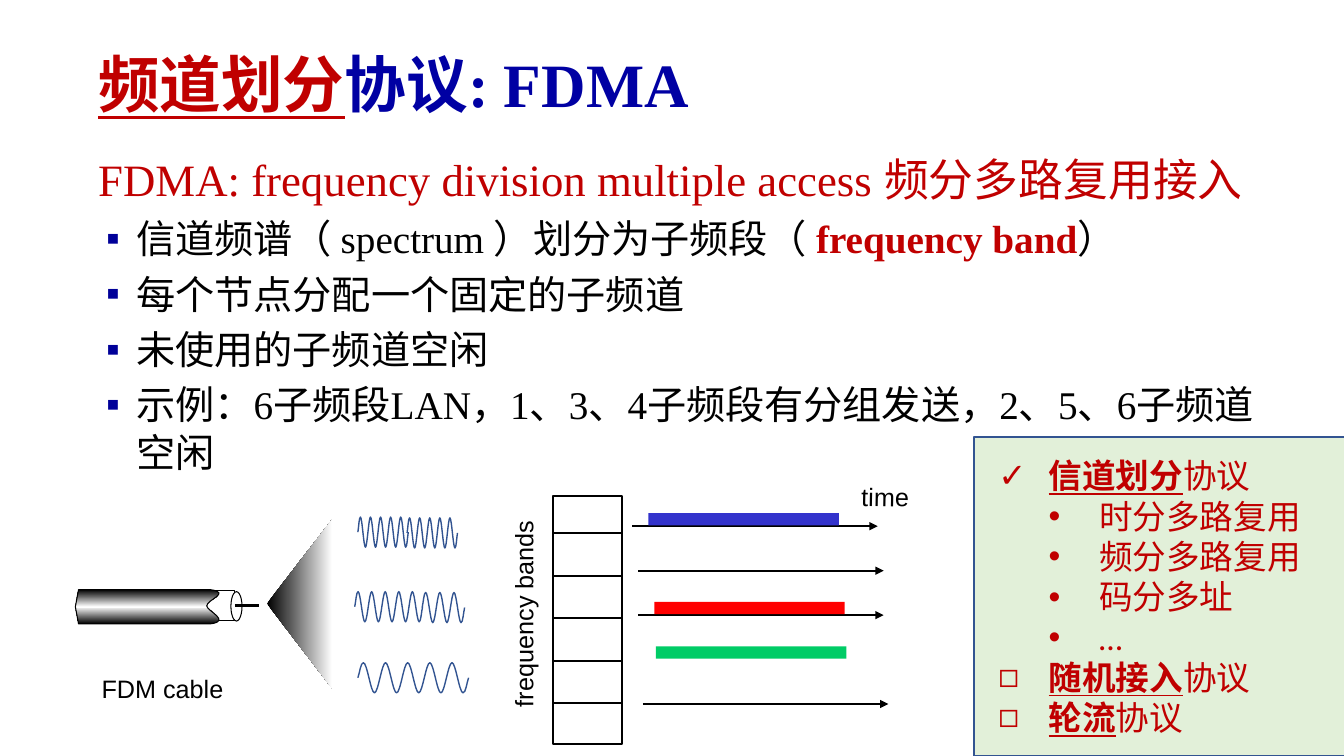
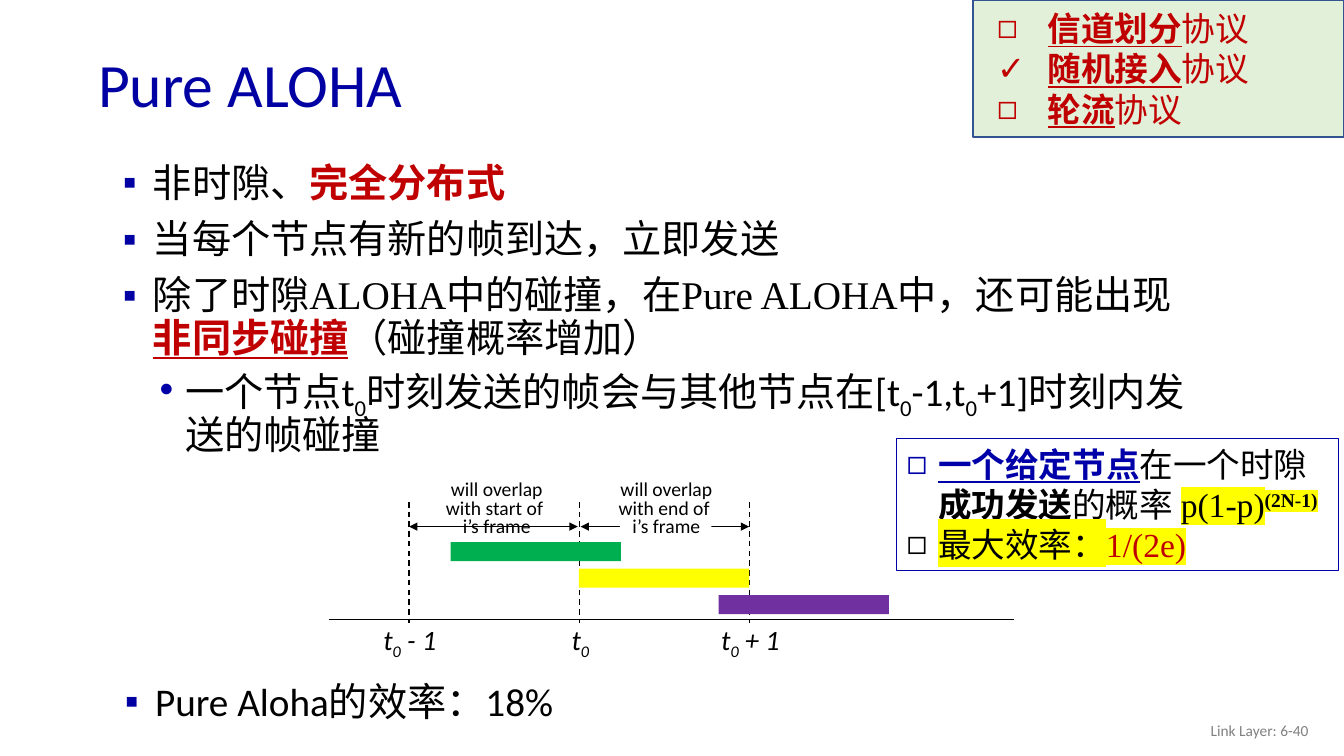
"""Build two slides on channel access protocols: FDMA and Pure ALOHA."""
from copy import deepcopy

from lxml.etree import SubElement
from pptx import Presentation
from pptx.dml.color import RGBColor
from pptx.enum.dml import MSO_LINE
from pptx.enum.shapes import MSO_CONNECTOR, MSO_SHAPE
from pptx.enum.text import MSO_ANCHOR, MSO_AUTO_SIZE, PP_ALIGN
from pptx.oxml.ns import qn
from pptx.util import Cm, Pt

HUES = {
    "black": "000000", "white": "FFFFFF", "red": "C00000", "navy": "0000A3",
    "ink": "0000A8", "dot": "000099", "grey": "808080", "mint": "E2F0D9",
    "steel": "325491", "blue": "3333CC", "bright": "FF0000", "lime": "00CC66",
    "green": "00B050", "yellow": "FFFF00", "purple": "7030A0",
}
ROMAN, SANS, ARIAL = "Times New Roman", "Calibri", "Arial"

STRONG = {"bold": True}
KEY = {"bold": True, "underline": True}
ALERT = {"bold": True, "color": "red"}
SUB = {"base": -25000}
MARK = {"hl": "yellow"}

HEAD = {"size": Pt(44), "name": SANS, "color": "navy"}
LIST = {"size": Pt(28), "name": SANS, "color": "black"}
SERIF = {**LIST, "name": ROMAN}
NOTE = {"size": Pt(24), "name": SANS, "color": "red"}
ODDS = {"size": Pt(24), "name": ROMAN, "color": "black"}
LABEL = {"size": Pt(18), "name": ARIAL, "color": "black"}
TICK = {"size": Pt(20), "name": SANS, "color": "black", "italic": True}
SMALL = {"size": Pt(14), "name": SANS, "color": "black"}
FOOT = {"size": Pt(11), "name": SANS, "color": "grey"}

PLAIN = {"set": {"alignment": PP_ALIGN.LEFT}}
RIGHT = {"set": {"alignment": PP_ALIGN.RIGHT}}
TIGHT = {"set": {"alignment": PP_ALIGN.CENTER, "line_spacing": 0.8}}
TITLE = {"set": {"alignment": PP_ALIGN.LEFT, "line_spacing": 0.9}}
LEAD = {"left": 0.96, "hang": 0.96, "set": {"line_spacing": 0.85}}
ITEM = {"left": 0.96, "hang": 0.76, "sign": "▪", "tint": "dot",
        "set": {"space_before": Pt(6), "line_spacing": 1.0}}
POINT = {"left": 1.12, "hang": 0.76, "sign": "▪", "tint": "navy",
         "set": {"space_before": Pt(10), "line_spacing": 0.9}}
DETAIL = {"left": 1.93, "hang": 0.64, "sign": "•", "tint": "ink",
          "set": {"level": 1, "space_before": Pt(5), "line_spacing": 0.9}}
DONE = {"left": 1.63, "hang": 1.27, "sign": "✓", "set": PLAIN["set"]}
OPEN = {**DONE, "sign": "◻"}
BRANCH = {"left": 2.9, "hang": 1.27, "sign": "•",
          "set": {"level": 1, "alignment": PP_ALIGN.LEFT}}
CHANCE = {"left": 0.79, "hang": 0.79, "sign": "◻", "set": PLAIN["set"]}

TOPICS = [[("信道划分", KEY), "协议"], [("随机接入", KEY), "协议"],
          [("轮流", KEY), "协议"]]
KINDS = ["时分多路复用", "频分多路复用", "码分多址", "…"]

FDMA = {
    "title": [("频道划分", {**KEY, "color": "red", "name": ROMAN}),
              ("协议: FDMA", {"bold": True, "name": ROMAN})],
    "body": [
        (LEAD, [("FDMA: frequency division multiple access 频分多路复用接入",
                 {"size": Pt(32), "color": "red"})]),
        (ITEM, ["信道频谱（ spectrum ）划分为子频段（",
                (" frequency band", ALERT), "）"]),
        (ITEM, ["每个节点分配一个固定的子频道"]),
        (ITEM, ["未使用的子频道空闲"]),
        (ITEM, ["示例：6子频段LAN，1、3、4子频段有分组发送，2、5、6子频道空闲"]),
    ],
    "topics": [(DONE, TOPICS[0]), *[(BRANCH, [kind]) for kind in KINDS],
               (OPEN, TOPICS[1]), (OPEN, TOPICS[2])],
    "labels": [("frequency bands", (10.59, 14.95, 5.21, 1.02), 270),
               ("time", (21.46, 12.01, 1.7, 1.02), 1.1),
               ("FDM cable", (2.31, 16.84, 3.58, 1.02), 0)],
    "lanes": [(15.93, True, "blue"), (16.08, True, None),
              (16.08, True, "bright"), (16.12, False, "lime"),
              (16.2, True, None)],
    "waves": [(9.02, 13.41, 1.27, 5), (10.26, 13.43, 1.27, 5),
              (8.94, 15.29, 1.71, 5), (10.64, 15.31, 1.07, 3),
              (9.02, 17.08, 2.79, 5)],
}
ALOHA = {
    "title": ["Pure ALOHA"],
    "body": [
        (POINT, ["非时隙、", ("完全分布式", ALERT)]),
        (POINT, ["当每个节点有新的帧到达，立即发送"]),
        (POINT, [("除了时隙ALOHA中的碰撞，在Pure ALOHA中，还可能出现",
                  {"name": ROMAN}),
                 ("非同步碰撞", {**KEY, "color": "red", "name": ROMAN}),
                 ("（碰撞概率增加）", {"name": ROMAN})]),
        (DETAIL, ["一个节点t", ("0", SUB), "时刻发送的帧会与其他节点在[t",
                  ("0", SUB), "-1,t", ("0", SUB),
                  "+1]时刻内发送的帧碰撞"]),
    ],
    "topics": [(OPEN, TOPICS[0]), (DONE, TOPICS[1]), (OPEN, TOPICS[2])],
    "odds": [
        (CHANCE, [("一个给定节点", {**KEY, "color": "ink"}), "在一个时隙",
                  ("成功发送", STRONG), "的概率 ", ("p(1-p)", MARK),
                  ("(2N-1)", {**MARK, **STRONG, "base": 30000})]),
        (CHANCE, [("最大效率：", MARK), ("1/(2e)", {**MARK, "color": "red"})]),
    ],
    "rate": [(POINT, ["Pure Aloha的效率：18%"])],
    "foot": [(RIGHT, ["Link Layer: 6-40"])],
    "ticks": [(" - 1", 1.9), ("", 0.99), (" + 1", 2.03)],
    "hints": [("end", 15.32, 2.95), ("start", 10.97, 3.1)],
    "frames": [(11.36, "green"), (14.59, "yellow"), (18.11, "purple")],
}


def hue(name):
    return RGBColor.from_string(HUES[name])


def add(root, tag, **attrs):
    return SubElement(root, qn(tag), attrs)


def place(shape, box):
    for key, val in zip(("left", "top", "width", "height"), box):
        setattr(shape, key, Cm(val))


def ink(run, look):
    props = run._r.get_or_add_rPr()
    run.font.color.rgb = hue(look["color"])
    for key, val in look.items():
        if key == "base":
            props.set("baseline", str(val))
        elif key == "hl":
            mark = add(props, "a:highlight")
            add(mark, "a:srgbClr", val=HUES[val])
            props.insert(1, mark)
        elif key != "color":
            setattr(run.font, key, val)


def write(shape, paras, look, anchor=MSO_ANCHOR.TOP, wrap=True):
    frame = shape.text_frame
    form = {"word_wrap": wrap, "auto_size": MSO_AUTO_SIZE.NONE,
            "vertical_anchor": anchor}
    for key, val in form.items():
        setattr(frame, key, val)
    for num, (style, runs) in enumerate(paras):
        para = frame.add_paragraph() if num else frame.paragraphs[0]
        for key, val in style["set"].items():
            setattr(para, key, val)
        if not num:
            para.space_before = Pt(0)
        props = para._p.get_or_add_pPr()
        props.set("marL", str(Cm(style.get("left", 0))))
        props.set("indent", str(-Cm(style.get("hang", 0))))
        if "tint" in style:
            add(add(props, "a:buClr"), "a:srgbClr", val=HUES[style["tint"]])
        if "sign" in style:
            add(props, "a:buFont", typeface=ARIAL)
            add(props, "a:buChar", char=style["sign"])
        else:
            add(props, "a:buNone")
        for part in runs:
            text, extra = (part, {}) if isinstance(part, str) else part
            run = para.add_run()
            run.text = text
            ink(run, {**look, **extra})


def label(slide, box, paras, look, **form):
    shape = slide.shapes.add_textbox(*map(Cm, box))
    write(shape, paras, look, **form)
    return shape


def paint(shape, fill=None, edge=None, width=1):
    shape.shadow.inherit = False
    if fill:
        shape.fill.solid()
        shape.fill.fore_color.rgb = hue(fill)
    else:
        shape.fill.background()
    if edge:
        shape.line.color.rgb = hue(edge)
        shape.line.width = Pt(width)
    else:
        shape.line.fill.background()
    return shape


def block(slide, box, *look, kind=MSO_SHAPE.RECTANGLE):
    return paint(slide.shapes.add_shape(kind, *map(Cm, box)), *look)


def trace(slide, dots, *look, close=True):
    first, *rest = [(Cm(x), Cm(y)) for x, y in dots]
    pen = slide.shapes.build_freeform(*first)
    pen.add_line_segments(rest, close=close)
    return paint(pen.convert_to_shape(), *look)


def bend(shape, skip=0):
    steps = list(shape._element.spPr.iter(qn("a:lnTo")))[skip:]
    for num in range(0, len(steps), 3):
        arc = add(steps[num].getparent(), "a:cubicBezTo")
        steps[num].addprevious(arc)
        for step in steps[num:num + 3]:
            arc.append(step[0])
            step.getparent().remove(step)
    return shape


def shade(shape, names, angle):
    shape.fill.gradient()
    shape.fill.gradient_angle = angle
    stops = shape._element.spPr.find(".//" + qn("a:gsLst"))
    while len(stops) < len(names):
        stops.append(deepcopy(stops[0]))
    for num, (stop, name) in enumerate(zip(shape.fill.gradient_stops, names)):
        stop.position = num / (len(names) - 1)
        stop.color.rgb = hue(name)


def line(slide, ends, width=1, dash=False, tips=()):
    wire = slide.shapes.add_connector(MSO_CONNECTOR.STRAIGHT, *map(Cm, ends))
    wire.line.color.rgb = hue("black")
    wire.line.width = Pt(width)
    if dash:
        wire.line.dash_style = MSO_LINE.DASH
    props = wire._element.spPr
    for tip in tips:
        add(props.find(qn("a:ln")), "a:" + tip, type="triangle")
    add(props, "a:effectLst")


def start(deck, data, box, look):
    slide = deck.slides.add_slide(deck.slide_layouts[1])
    title, body = slide.shapes.title, slide.placeholders[1]
    place(title, (2.22, 0.97, 29.21, 2.49))
    write(title, [(TITLE, data["title"])], HEAD, MSO_ANCHOR.MIDDLE)
    place(body, box)
    write(body, data["body"], look)
    return slide


def topics(slide, data, box):
    write(block(slide, box, "mint", "steel"), data["topics"], NOTE,
          MSO_ANCHOR.MIDDLE)


def wave(slide, x, y, wide, turns):
    q, amp = wide / turns / 4, 0.38
    dots = [(x, y), (x + q / 3, y - amp / 3), (x + q / 2, y - amp)]
    for num in range(2 * turns):
        peak, side = x + q * (2 * num + 1), y + amp * (-1) ** (num + 1)
        dots += [(peak, side)]
        if num < 2 * turns - 1:
            dots += [(peak + 0.67 * q, side), (peak + 1.33 * q, 2 * y - side)]
    end = x + wide
    dots += [(end - q / 2, y + amp), (end - q / 3, y + amp / 3), (end, y)]
    bend(trace(slide, dots, None, "steel", close=False))


def cable(slide):
    cone = trace(slide, [(8.38, 13.08), (6.73, 15.21), (8.38, 17.36)])
    shade(cone, ["black", "white"], 0)
    thin = ("white", "black", 0.75)
    block(slide, (5.18, 14.88, 0.74, 0.76), *thin)
    dots = [(1.98, 14.86), (1.9, 15.29), (1.98, 15.72), (5.31, 15.72),
            (5.84, 15.65), (5.21, 15.39), (5.21, 15.27),
            (5.21, 15.11), (5.84, 14.94), (5.31, 14.86)]
    shade(bend(trace(slide, dots, *thin), 3), ["black", "white", "black"], 90)
    block(slide, (5.82, 14.91, 0.28, 0.74), *thin, kind=MSO_SHAPE.OVAL)
    line(slide, (5.92, 15.26, 6.53, 15.26), 2.25)


def fdma(deck):
    slide = start(deck, FDMA, (2.22, 3.91, 29.87, 6.65), SERIF)
    block(slide, (13.94, 12.5, 1.74, 6.25), "white", "black", 1.5)
    for num in range(5):
        y = 13.44 + 1.07 * num
        line(slide, (13.94, y, 15.68, y), 1.5)
    for num, (x, axis, tint) in enumerate(FDMA["lanes"]):
        y = 13.26 + 1.12 * num
        if axis:
            line(slide, (x, y, x + 6.19, y), 1.5, tips=["tailEnd"])
        if tint:
            block(slide, (x + 0.41, y - 0.33, 4.8, 0.31), tint)
    for text, box, turn in FDMA["labels"]:
        tag = label(slide, box, [(PLAIN, [text])], LABEL, wrap=False)
        tag.rotation = turn
    cable(slide)
    for form in FDMA["waves"]:
        wave(slide, *form)
    topics(slide, FDMA, (24.55, 11.01, 9.35, 8.04))


def aloha(deck):
    slide = start(deck, ALOHA, (2.48, 3.99, 28.22, 7.67), LIST)
    label(slide, (25.61, 17.9, 7.62, 1.02), ALOHA["foot"], FOOT,
          anchor=MSO_ANCHOR.MIDDLE)
    for x in (10.31, 14.63):
        line(slide, (x, 13.27, x + 4.25, 13.27), tips=["headEnd", "tailEnd"])
    block(slide, (15.62, 13.18, 2.31, 0.15), "white")
    line(slide, (8.28, 15.61, 25.55, 15.61))
    for num, (text, wide) in enumerate(ALOHA["ticks"]):
        x = 10.31 + 4.29 * num
        line(slide, (x, 12.65, x, 15.7), dash=True)
        runs = ["t", ("0", SUB)] + ([text] if text else [])
        label(slide, (x + 0.05 - wide / 2, 15.55, wide, 1.12),
              [(PLAIN, runs)], TICK, wrap=False)
    for num, (x, tint) in enumerate(ALOHA["frames"]):
        block(slide, (x, 13.66 + 0.67 * num, 4.29, 0.48), tint)
    for edge, x, wide in ALOHA["hints"]:
        rows = ["will overlap", f"with {edge} of ", "i’s frame"]
        label(slide, (x, 12, wide, 1.7), [(TIGHT, [row]) for row in rows],
              SMALL, wrap=False)
    label(slide, (2.54, 17.07, 29.21, 1.73), ALOHA["rate"], LIST)
    write(block(slide, (22.6, 11.05, 11.13, 3.33), None, "ink", 0.75),
          ALOHA["odds"], ODDS)
    topics(slide, ALOHA, (24.52, 0, 9.35, 3.45))


def main():
    deck = Presentation()
    deck.slide_width, deck.slide_height = Cm(33.87), Cm(19.05)
    fdma(deck)
    aloha(deck)
    deck.save("out.pptx")


if __name__ == "__main__":
    main()
